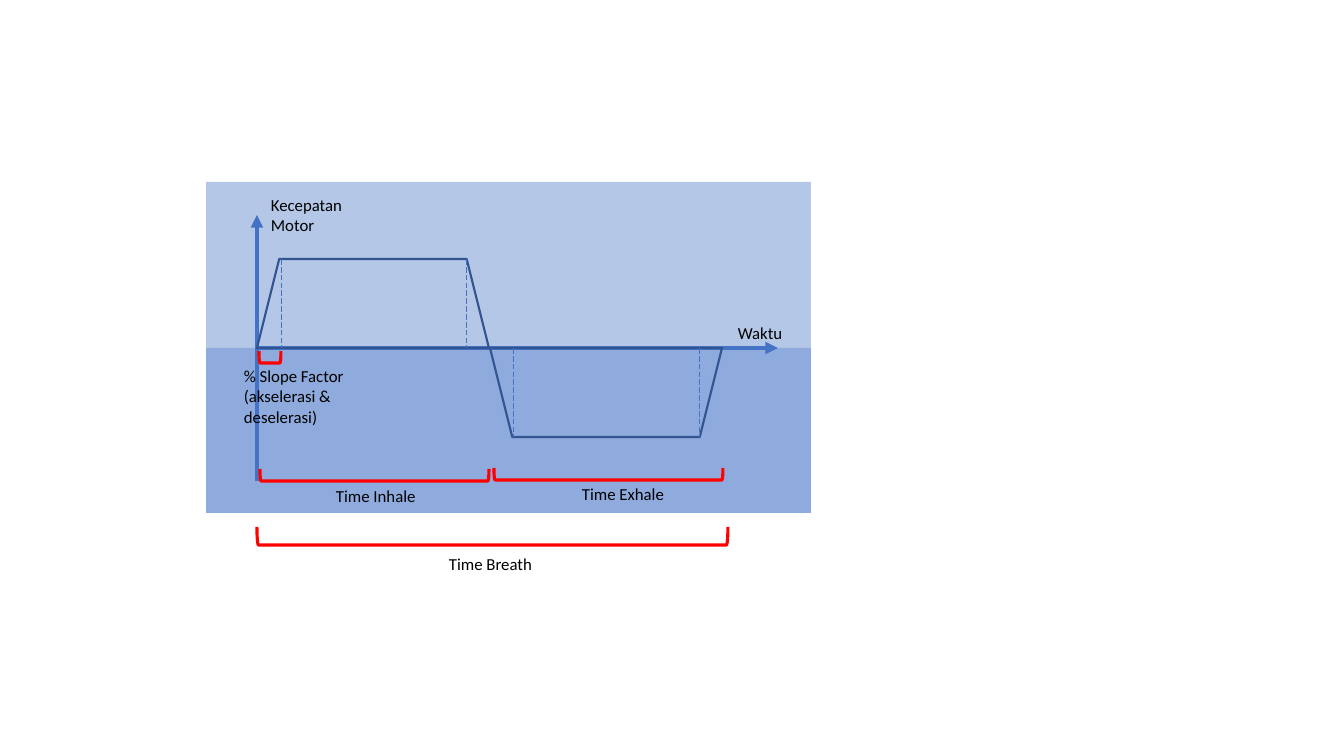
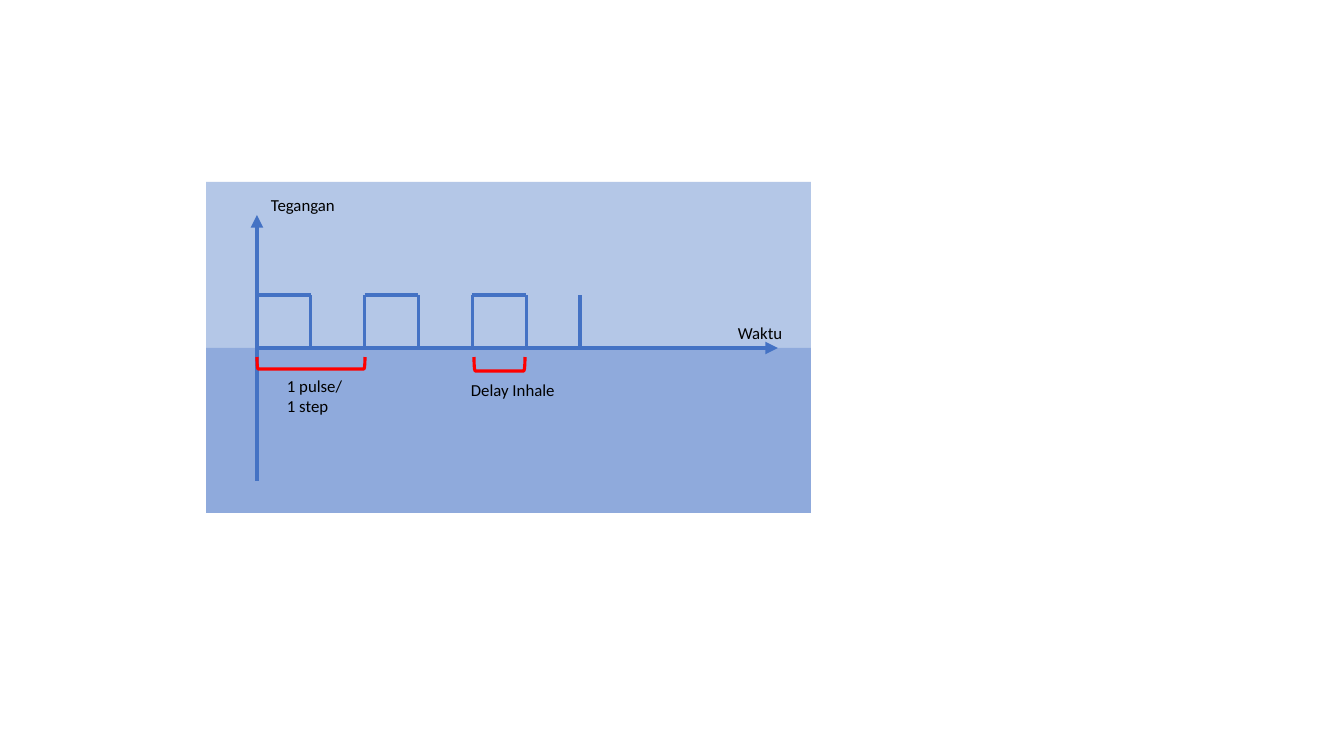
from lxml.etree import SubElement
from pptx import Presentation
from pptx.dml.color import RGBColor
from pptx.enum.dml import MSO_LINE
from pptx.enum.shapes import MSO_CONNECTOR, MSO_SHAPE
from pptx.enum.text import MSO_AUTO_SIZE
from pptx.oxml.ns import qn
from pptx.util import Emu, Pt

EMU_PER_PIXEL = 914400 / 100.8
UPPER_BLUE = RGBColor(0xB4, 0xC7, 0xE7)
LOWER_BLUE = RGBColor(0x8F, 0xAA, 0xDC)
AXIS_BLUE = RGBColor(0x44, 0x72, 0xC4)
CURVE_BLUE = RGBColor(0x32, 0x54, 0x91)
RED = RGBColor(0xFF, 0, 0)
BLACK = RGBColor(0, 0, 0)
LABEL_FONT = {"name": "Calibri", "size": Pt(12)}
LABEL_FRAME = {"word_wrap": True, "auto_size": MSO_AUTO_SIZE.SHAPE_TO_FIT_TEXT}
AXIS_LINE = {"width": Pt(3)}
PULSE_LINE = {"width": Pt(2.25)}
GUIDE_LINE = {"width": Pt(0.5), "dash_style": MSO_LINE.LONG_DASH}
ORIGIN_X, ORIGIN_Y = 257, 348
PULSE_TOP, PULSE_SPAN, PULSE_CYCLES = 295, 323, 3


def pixels(*lengths):
    return [Emu(round(length * EMU_PER_PIXEL)) for length in lengths]


def set_all(target, values):
    for name, value in values.items():
        setattr(target, name, value)


def add_band(page, top, height, color):
    band = page.shapes.add_shape(MSO_SHAPE.RECTANGLE, *pixels(206, top, 605, height))
    band.shadow.inherit = False
    band.fill.solid()
    band.fill.fore_color.rgb = color
    band.line.fill.background()


def add_outline(page, kind, area, color, width, rotation=0):
    outline = page.shapes.add_shape(kind, *pixels(*area))
    outline.shadow.inherit = False
    outline.fill.background()
    outline.line.color.rgb = color
    outline.line.width = Pt(width)
    outline.rotation = rotation


def add_bracket(page, left, top, width, height):
    area = (left + (width - height) / 2, top + (height - width) / 2, height, width)
    add_outline(page, MSO_SHAPE.LEFT_BRACKET, area, RED, 2.25, 270)


def add_line(page, start, end, values, arrow=False):
    line = page.shapes.add_connector(MSO_CONNECTOR.STRAIGHT, *pixels(*start, *end))
    line.line.color.rgb = AXIS_BLUE
    set_all(line.line, values)
    if arrow:
        SubElement(line.line._get_or_add_ln(), qn("a:tailEnd"), type="triangle")
    SubElement(line._element.spPr, qn("a:effectLst"))


def add_label(page, area, *texts):
    box = page.shapes.add_textbox(*pixels(*area))
    frame = box.text_frame
    set_all(frame, LABEL_FRAME)
    for index, text in enumerate(texts):
        para = frame.add_paragraph() if index else frame.paragraphs[0]
        para.text = text
        for span in para.runs:
            set_all(span.font, LABEL_FONT)
            span.font.color.rgb = BLACK


def add_graph_page(deck, *axis_title):
    page = deck.slides.add_slide(deck.slide_layouts[6])
    add_band(page, 182, 166, UPPER_BLUE)
    add_band(page, ORIGIN_Y, 165, LOWER_BLUE)
    add_line(page, (ORIGIN_X, 481), (ORIGIN_X, 215), AXIS_LINE, arrow=True)
    add_line(page, (ORIGIN_X, ORIGIN_Y), (778, ORIGIN_Y), AXIS_LINE, arrow=True)
    add_label(page, (261, 190, 95, 10 + 20 * len(axis_title)), *axis_title)
    add_label(page, (728, 318, 95, 30), "Waktu")
    return page


def build_breath_page(deck):
    page = add_graph_page(deck, "Kecepatan", "Motor")
    for left, top, rotation, guides in (
        (ORIGIN_X, 259, 0, (281, 466)),
        (490, ORIGIN_Y, 180, (513, 699)),
    ):
        add_outline(page, MSO_SHAPE.TRAPEZOID, (left, top, 232, 89), CURVE_BLUE, 1.5, rotation)
        for guide in guides:
            add_line(page, (guide, top), (guide, top + 89), GUIDE_LINE)
    for bracket in ((260, 469, 229, 12), (494, 468, 229, 12), (259, 351, 22, 12), (257, 527, 471, 18)):
        add_bracket(page, *bracket)
    add_label(page, (326, 481, 155, 30), "Time Inhale")
    add_label(page, (572, 479, 146, 30), "Time Exhale")
    add_label(page, (234, 361, 145, 72), "% Slope Factor", "(akselerasi & deselerasi)")
    add_label(page, (439, 549, 146, 30), "Time Breath")


def add_pulses(page):
    steps = 2 * PULSE_CYCLES
    edges = [ORIGIN_X + PULSE_SPAN * step / steps for step in range(steps + 1)]
    for edge in edges:
        add_line(page, (edge, ORIGIN_Y), (edge, PULSE_TOP), PULSE_LINE)
    for step, (left, right) in enumerate(zip(edges, edges[1:])):
        level = ORIGIN_Y if step % 2 else PULSE_TOP
        add_line(page, (left, level), (right, level), PULSE_LINE)


def build_pulse_page(deck):
    page = add_graph_page(deck, "Tegangan")
    add_bracket(page, 257, 357, 108, 12)
    add_bracket(page, 474, 357, 51, 14)
    add_label(page, (277, 371, 158, 50), "1 pulse/\v1 step")
    add_label(page, (461, 375, 146, 30), "Delay Inhale")
    add_pulses(page)


def main():
    deck = Presentation()
    deck.slide_width, deck.slide_height = pixels(1344, 756)
    build_breath_page(deck)
    build_pulse_page(deck)
    deck.save("out.pptx")


main()
